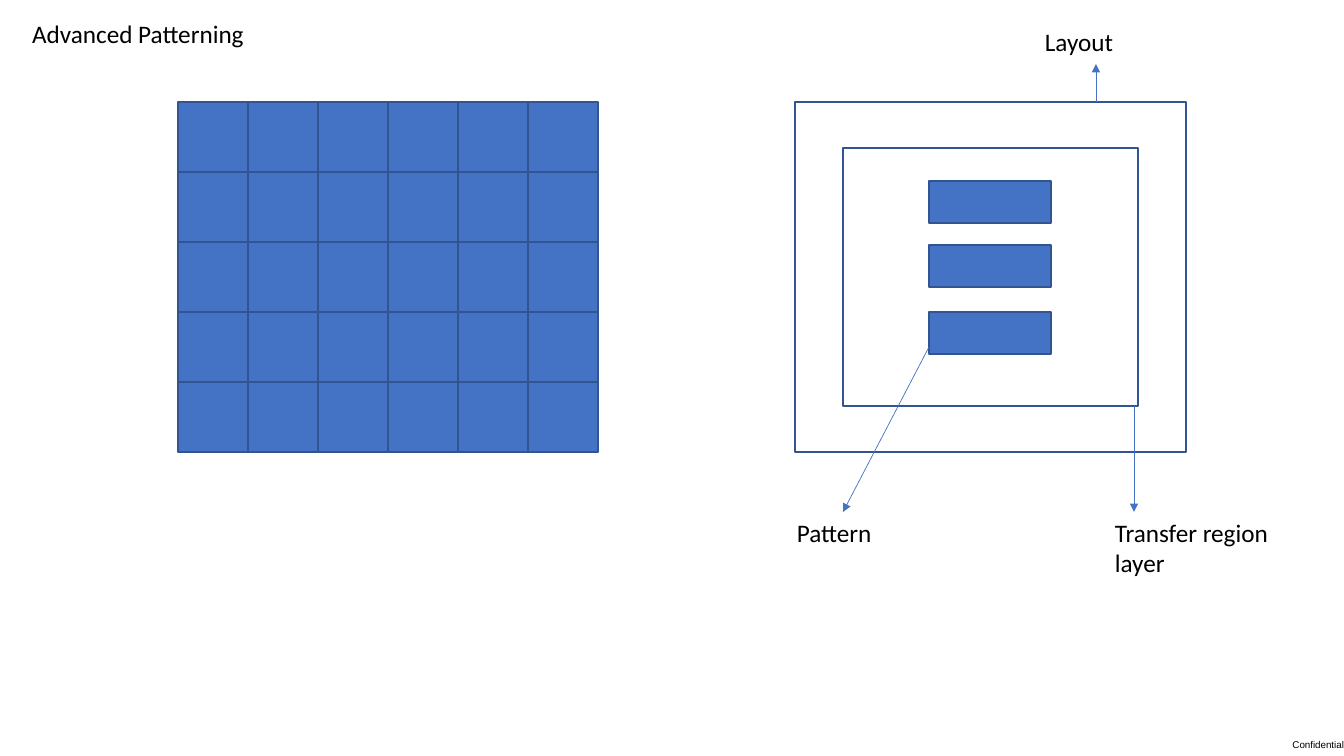
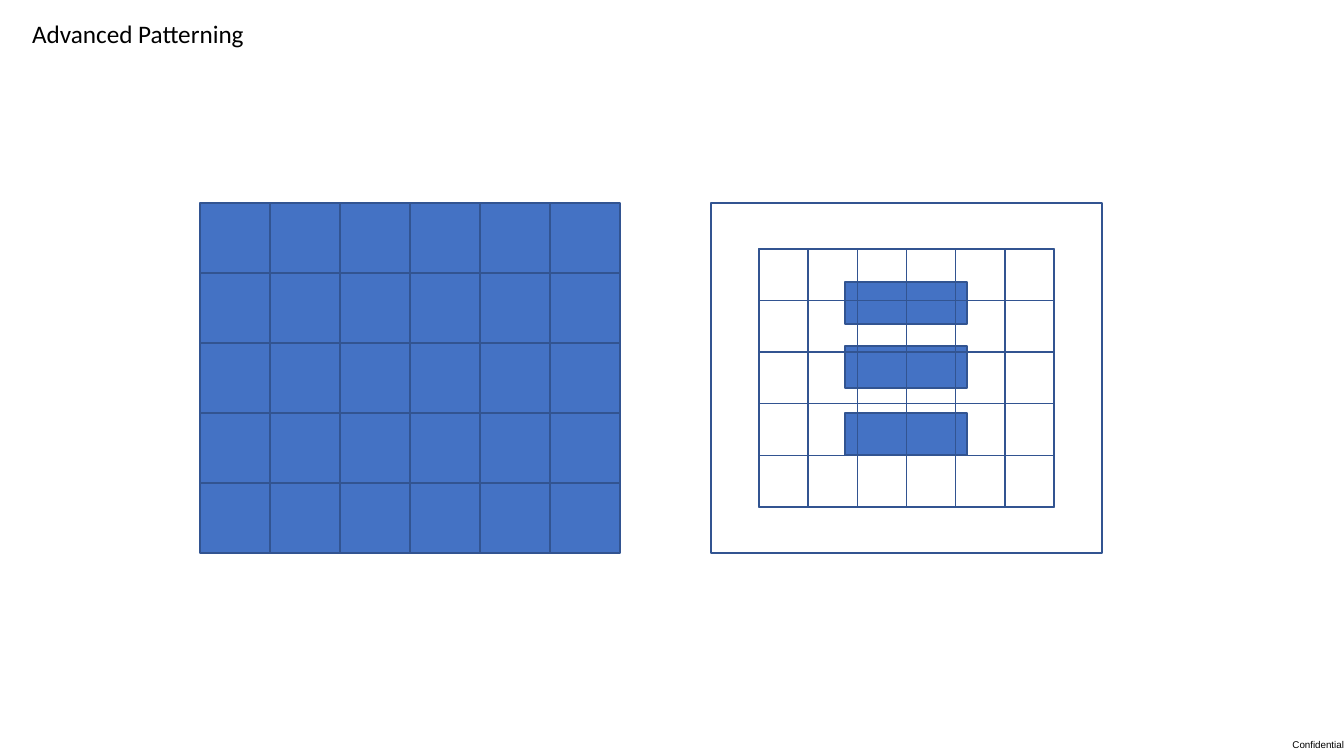
from lxml.etree import SubElement
from pptx import Presentation
from pptx.dml.color import RGBColor
from pptx.enum.shapes import MSO_CONNECTOR, MSO_SHAPE
from pptx.enum.text import MSO_ANCHOR, MSO_AUTO_SIZE, PP_ALIGN
from pptx.oxml.ns import qn
from pptx.util import Pt

EMU_PER_PIXEL = 914400 / 100.8
SLIDE_SIZE = (1344, 756)
BLUE, DARK_BLUE, WHITE, BLACK = "4472C4", "325491", "FFFFFF", "000000"
TITLE = "Advanced Patterning"
TITLE_BOX = (22, 13, 319, 40)
FOOTER_BOX = (1267, 734, 77, 22)
GRID_COLUMNS, GRID_ROWS = 6, 5


def px(length):
    """Turn pixels into EMU."""
    return round(length * EMU_PER_PIXEL)


def color(hex_string):
    """Return the colour for a hex string."""
    return RGBColor.from_string(hex_string)


def write(frame, text, font="Calibri", size=18, ink=BLACK, align=PP_ALIGN.LEFT,
          anchor=MSO_ANCHOR.TOP, inset=None):
    """Fill a text frame with one formatted paragraph."""
    frame.word_wrap = True
    frame.auto_size = MSO_AUTO_SIZE.SHAPE_TO_FIT_TEXT
    frame.vertical_anchor = anchor
    if inset is not None:
        frame.margin_left = frame.margin_right = px(inset)
        frame.margin_top = frame.margin_bottom = px(inset)
    paragraph = frame.paragraphs[0]
    paragraph.alignment = align
    run = paragraph.add_run()
    run.text = text
    run.font.name, run.font.size = font, Pt(size)
    run.font.color.rgb = color(ink)


def add_label(shapes, box, text, **text_format):
    """Add a text box at the given box."""
    label = shapes.add_textbox(*map(px, box))
    write(label.text_frame, text, **text_format)


def add_rectangle(shapes, box, fill=None):
    """Add an outlined rectangle, hollow unless a fill is given."""
    rectangle = shapes.add_shape(MSO_SHAPE.RECTANGLE, *map(px, box))
    rectangle.shadow.inherit = False
    if fill:
        rectangle.fill.solid()
        rectangle.fill.fore_color.rgb = color(fill)
    else:
        rectangle.fill.background()
    rectangle.line.color.rgb = color(DARK_BLUE)
    rectangle.line.width = Pt(1)


def add_arrow(shapes, start, end):
    """Add a thin arrow with its head at the end point."""
    arrow = shapes.add_connector(MSO_CONNECTOR.STRAIGHT, *map(px, start + end))
    arrow.line.color.rgb = color(BLUE)
    arrow.line.width = Pt(0.5)
    SubElement(arrow.line._get_or_add_ln(), qn("a:tailEnd"), type="triangle")
    SubElement(arrow._element.spPr, qn("a:effectLst"))


def add_grid(shapes, box, fill=None):
    """Divide the box into equal cells."""
    left, top, width, height = box
    cell_width, cell_height = width / GRID_COLUMNS, height / GRID_ROWS
    for row in range(GRID_ROWS):
        for column in range(GRID_COLUMNS):
            cell = (left + column * cell_width, top + row * cell_height,
                    cell_width, cell_height)
            add_rectangle(shapes, cell, fill)


def add_layout_diagram(shapes, box):
    """Draw layout, transfer region and patterns; return the region's box."""
    left, top, width, height = box
    region = (left + 48, top + 46, width - 96, height - 92)
    add_rectangle(shapes, box, WHITE)
    add_rectangle(shapes, region)
    for pattern_top in (79, 143, 210):
        add_rectangle(shapes, (left + 134, top + pattern_top, 122, 42), BLUE)
    return region


def add_callouts(shapes, box):
    """Name the parts of the layout diagram drawn in the box."""
    left, top, width, height = box
    label_top = top + height + 60
    add_arrow(shapes, (left + 301, top), (left + 301, top - 38))
    add_label(shapes, (left + 240, top - 81, 163, 40), "Layout")
    add_arrow(shapes, (left + 339, top + 304), (left + 339, label_top))
    add_label(shapes, (left + 310, label_top, 187, 72), "Transfer region layer")
    add_arrow(shapes, (left + 134, top + 245), (left + 48, label_top))
    add_label(shapes, (left - 8, label_top, 142, 40), "Pattern")


def add_base_slide(deck):
    """Add a slide with the shared title and footer."""
    slide = deck.slides.add_slide(deck.slide_layouts[5])
    title = slide.shapes.title
    title.left, title.top, title.width, title.height = map(px, TITLE_BOX)
    write(title.text_frame, TITLE)
    add_label(slide.shapes, FOOTER_BOX, "Confidential", font="Arial", size=7,
              align=PP_ALIGN.RIGHT, anchor=MSO_ANCHOR.MIDDLE, inset=0)
    return slide


def add_named_parts_slide(deck):
    """Show the grid beside a layout with named parts."""
    shapes = add_base_slide(deck).shapes
    layout_box = (795, 102, 391, 350)
    add_grid(shapes.add_group_shape().shapes, (178, 102, 420, 350), BLUE)
    add_layout_diagram(shapes, layout_box)
    add_callouts(shapes, layout_box)


def add_divided_region_slide(deck):
    """Show the grid beside a layout whose region is divided alike."""
    shapes = add_base_slide(deck).shapes
    add_grid(shapes.add_group_shape().shapes, (200, 203, 420, 350), BLUE)
    layout = shapes.add_group_shape().shapes
    region = add_layout_diagram(layout, (711, 203, 391, 350))
    add_grid(layout, region)


def main():
    """Build and save the presentation."""
    deck = Presentation()
    deck.slide_width, deck.slide_height = map(px, SLIDE_SIZE)
    add_named_parts_slide(deck)
    add_divided_region_slide(deck)
    deck.save("out.pptx")


main()
